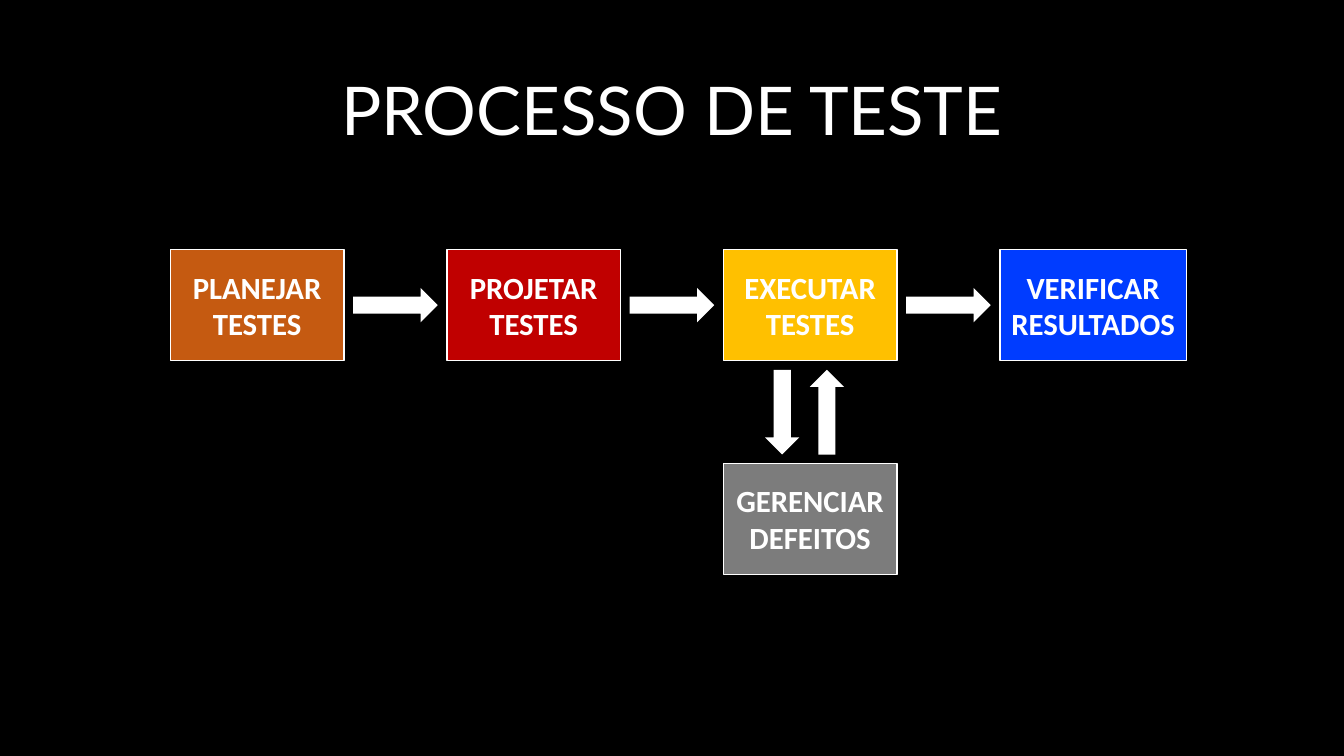
from dataclasses import dataclass

from pptx import Presentation
from pptx.dml.color import RGBColor
from pptx.enum.shapes import MSO_SHAPE
from pptx.enum.text import MSO_ANCHOR, PP_ALIGN
from pptx.util import Pt

RECTANGLE = MSO_SHAPE.RECTANGLE
RIGHT_ARROW = MSO_SHAPE.RIGHT_ARROW
MIDDLE = MSO_ANCHOR.MIDDLE
CENTER = PP_ALIGN.CENTER


@dataclass(frozen=True)
class Theme:
    """Colours, fonts and type sizes of the slide."""
    background: RGBColor = RGBColor(0, 0, 0)
    light: RGBColor = RGBColor(255, 255, 255)
    plan: RGBColor = RGBColor(0xC5, 0x5A, 0x11)
    design: RGBColor = RGBColor(0xC0, 0, 0)
    execute: RGBColor = RGBColor(0xFF, 0xC0, 0)
    verify: RGBColor = RGBColor(0, 0x3C, 0xFF)
    defects: RGBColor = RGBColor(0x7C, 0x7C, 0x7C)
    title_font: str = "Lato"
    step_font: str = "Calibri"
    title_size: int = 48
    step_size: int = 22


THEME = Theme()
STEP_WIDTH, STEP_HEIGHT = 124, 79.2
ARROW_LENGTH, ARROW_THICKNESS = 60.5, 24.5
STEPS = [
    ("PLANEJAR TESTES", THEME.plan, STEP_WIDTH),
    ("PROJETAR TESTES", THEME.design, STEP_WIDTH),
    ("EXECUTAR TESTES", THEME.execute, STEP_WIDTH),
    ("VERIFICAR RESULTADOS", THEME.verify, 133.2),
]
EXECUTE_INDEX = 2


def write_centered(frame, wording, font_name, size, bold=False):
    """Write one centred paragraph into a text frame."""
    frame.word_wrap = True
    frame.vertical_anchor = MIDDLE
    paragraph = frame.paragraphs[0]
    paragraph.text = wording
    paragraph.alignment = CENTER
    font = paragraph.font
    font.name, font.size, font.bold = font_name, Pt(size), bold
    font.color.rgb = THEME.light
    return paragraph


def add_title(slide, left, top, width, height):
    """Place the slide title in the given box."""
    title = slide.shapes.add_textbox(Pt(left), Pt(top), Pt(width), Pt(height))
    heading = write_centered(title.text_frame, "PROCESSO DE TESTE",
                             THEME.title_font, THEME.title_size)
    heading.line_spacing = 0.9


def add_step(slide, wording, color, left, top, width):
    """Place one outlined process step."""
    step = slide.shapes.add_shape(RECTANGLE, Pt(left), Pt(top), Pt(width), Pt(STEP_HEIGHT))
    step.shadow.inherit = False
    step.fill.solid()
    step.fill.fore_color.rgb = color
    step.line.color.rgb = THEME.light
    step.line.width = Pt(1)
    write_centered(step.text_frame, wording, THEME.step_font, THEME.step_size, True)


def add_arrow(slide, center_x, center_y, rotation=0):
    """Place a block arrow around its centre."""
    arrow = slide.shapes.add_shape(
        RIGHT_ARROW, Pt(center_x - ARROW_LENGTH / 2), Pt(center_y - ARROW_THICKNESS / 2),
        Pt(ARROW_LENGTH), Pt(ARROW_THICKNESS))
    arrow.rotation = rotation
    arrow.shadow.inherit = False
    arrow.fill.solid()
    arrow.fill.fore_color.rgb = THEME.light
    arrow.line.fill.background()


def add_process(slide, left, top, width, height):
    """Place the row of steps and the defect loop in the given box."""
    pitch = (width - STEPS[-1][2]) / (len(STEPS) - 1)
    for index, (wording, color, step_width) in enumerate(STEPS):
        step_left = left + index * pitch
        add_step(slide, wording, color, step_left, top, step_width)
        if index:
            add_arrow(slide, step_left - (pitch - STEP_WIDTH) / 2, top + STEP_HEIGHT / 2)

    execute_left = left + EXECUTE_INDEX * pitch
    defects_top = top + height - STEP_HEIGHT
    add_step(slide, "GERENCIAR DEFEITOS", THEME.defects, execute_left, defects_top, STEP_WIDTH)
    for offset, rotation in ((42, 90), (74, 270)):
        add_arrow(slide, execute_left + offset, top + height / 2, rotation)


def main():
    """Build and save the slide."""
    deck = Presentation()
    deck.slide_width, deck.slide_height = Pt(960), Pt(540)
    slide = deck.slides.add_slide(deck.slide_layouts[6])
    slide.background.fill.solid()
    slide.background.fill.fore_color.rgb = THEME.background
    add_title(slide, 66, 28.8, 828, 104.4)
    add_process(slide, 121.7, 178.4, 725.7, 232)
    deck.save("out.pptx")


if __name__ == "__main__":
    main()
